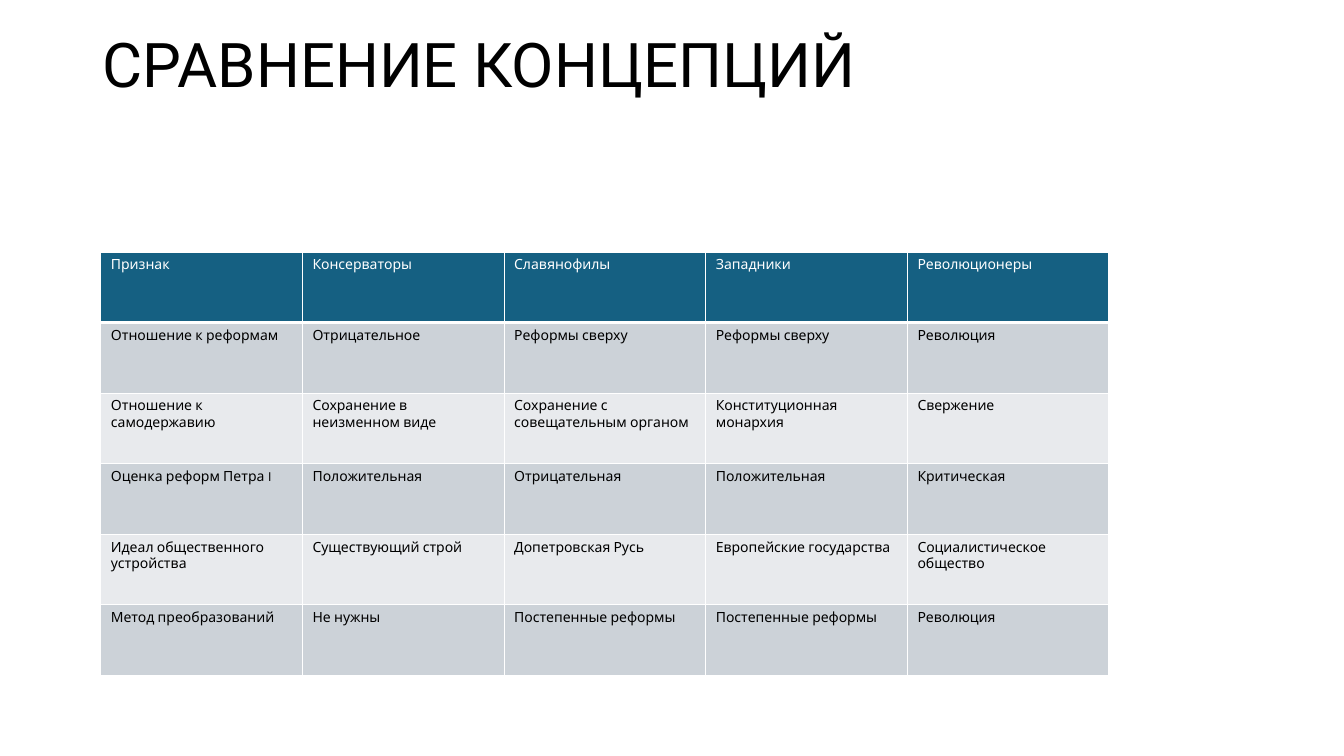
from lxml.etree import SubElement as add_element
from pptx import Presentation
from pptx.dml.color import RGBColor as Color
from pptx.enum.text import MSO_ANCHOR as Anchor, MSO_AUTO_SIZE as AutoSize, PP_ALIGN as Align
from pptx.oxml.ns import qn
from pptx.util import Emu, Pt

EMU_PER_PX = 9144
COLORS = {
    "black": "000000",
    "white": "FFFFFF",
    "header": "156082",
    "odd": "CCD2D8",
    "even": "E8EAED",
}
CONCEPTS = [
    ["Признак", "Консерваторы", "Славянофилы", "Западники", "Революционеры"],
    ["Отношение к реформам", "Отрицательное", "Реформы сверху", "Реформы сверху", "Революция"],
    ["Отношение к самодержавию", "Сохранение в неизменном виде",
     "Сохранение с совещательным органом", "Конституционная монархия", "Свержение"],
    ["Оценка реформ Петра I", "Положительная", "Отрицательная", "Положительная", "Критическая"],
    ["Идеал общественного устройства", "Существующий строй", "Допетровская Русь",
     "Европейские государства", "Социалистическое общество"],
    ["Метод преобразований", "Не нужны", "Постепенные реформы", "Постепенные реформы", "Революция"],
]


def px(length):
    return Emu(length * EMU_PER_PX)


def set_all(target, values):
    for name, value in values.items():
        setattr(target, name, value)


class SlideBuilder:
    TITLE_FONT = {"name": "Roboto", "size": Pt(44), "bold": False}
    CELL_FONT = {"name": "Karla", "size": Pt(10), "bold": False}

    def __init__(self, deck):
        self.page = deck.slides.add_slide(deck.slide_layouts[5])

    def add_text(self, frame, text, font, color, **paragraph_format):
        para = frame.paragraphs[0]
        set_all(para, paragraph_format)
        span = para.add_run()
        span.text = text
        set_all(span.font, font)
        span.font.color.rgb = Color.from_string(COLORS[color])

    def title(self, text, left, top, width, height):
        box = self.page.shapes.title
        set_all(box, {"left": px(left), "top": px(top),
                      "width": px(width), "height": px(height)})
        set_all(box.text_frame, {"vertical_anchor": Anchor.MIDDLE, "word_wrap": True,
                                 "auto_size": AutoSize.NONE})
        self.add_text(box.text_frame, text, self.TITLE_FONT, "black",
                      alignment=Align.LEFT, line_spacing=0.9)

    def borders(self, cell, widths):
        properties = cell._tc.get_or_add_tcPr()
        for side, width in widths.items():
            line = add_element(properties, qn(f"a:ln{side}"), w=str(Pt(width)))
            fill = add_element(line, qn("a:solidFill"))
            add_element(fill, qn("a:srgbClr"), val=COLORS["white"])

    def table(self, rows, left, top, width, height):
        frame = self.page.shapes.add_table(len(rows), len(rows[0]), px(left), px(top),
                                           px(width), px(height))
        for row_index, row in enumerate(rows):
            is_header = row_index == 0
            fill = "header" if is_header else "odd" if row_index % 2 else "even"
            for column_index, text in enumerate(row):
                cell = frame.table.cell(row_index, column_index)
                self.borders(cell, {"L": 1, "R": 1, "T": 1, "B": 3 if is_header else 1})
                cell.fill.solid()
                cell.fill.fore_color.rgb = Color.from_string(COLORS[fill])
                self.add_text(cell.text_frame, text, self.CELL_FONT,
                              "white" if is_header else "black")


def main():
    deck = Presentation()
    set_all(deck, {"slide_width": px(1333), "slide_height": px(750)})
    builder = SlideBuilder(deck)
    builder.title("СРАВНЕНИЕ КОНЦЕПЦИЙ", 92, 22, 1150, 90)
    builder.table(CONCEPTS, 100, 250, 1000, 420)
    deck.save("out.pptx")


if __name__ == "__main__":
    main()
